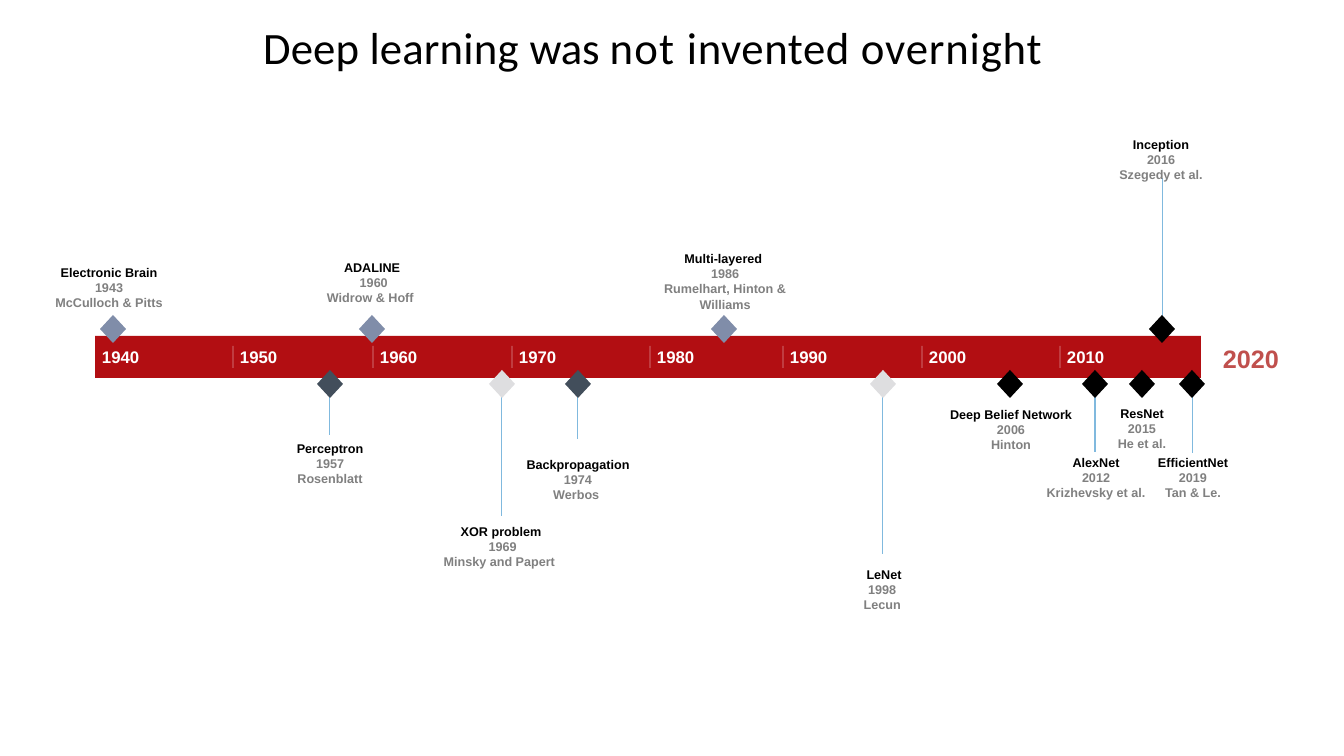
import pptx
import pptx.util
import pptx.dml.color
import pptx.enum.shapes
import pptx.enum.text
import pptx.oxml
import pptx.oxml.ns

# Content: words of the title with their letter spacing in 1/100 pt
TITLE = [("Deep learning ", 10), ("was ", -20), ("not ", 90),
         ("invented ", 40), ("overnight", 60)]

# Decade and left edge of its section on the bar
DECADES = [("1940", 95), ("1950", 233), ("1960", 373), ("1970", 512),
           ("1980", 650), ("1990", 783), ("2000", 922), ("2010", 1060)]
LAST = "2020"

BLUE, SLATE, PALE, BLACK = "808DA9", "424E5B", "DEDEE0", "000000"
GREY, WHITE, SKY = "808080", "FFFFFF", "80B9DE"
UP, DOWN = 329, 384  # middle of the markers above and below
THIN, FINE = 0.75, 0.25  # stem widths in points

# Name, year, authors, label centre and top, marker x, y, colour,
# end and width of the stem (None for no stem)
EVENTS = [
    ("Electronic Brain", "1943", "McCulloch & Pitts", 109, 265, 113, UP, BLUE, None, None),
    ("Perceptron", "1957", "Rosenblatt", 330, 441, 330, DOWN, SLATE, 435, THIN),
    ("ADALINE", " 1960", "Widrow & Hoff ", 372, 260, 372, UP, BLUE, None, None),
    ("XOR problem", " 1969", "Minsky and Papert ", 501, 524, 502, DOWN, PALE, 516, THIN),
    ("Backpropagation", " 1974 ", "Werbos ", 578, 457, 578, DOWN, SLATE, 439, THIN),
    ("Multi-layered ", "1986", "Rumelhart, Hinton & Williams",
     725, 251, 724, UP, BLUE, None, None),
    ("LeNet", "1998 ", "Lecun ", 884, 567, 883, DOWN, PALE, 554, THIN),
    ("Deep Belief Network", "2006", "Hinton", 1011, 407, 1010, DOWN, BLACK, None, None),
    ("AlexNet", "2012", "Krizhevsky et al.", 1096, 455, 1095, DOWN, BLACK, 452, 1),
    ("ResNet", "2015", "He et al.", 1142, 406, 1142, DOWN, BLACK, None, None),
    ("EfficientNet", "2019", "Tan & Le.", 1193, 455, 1192, DOWN, BLACK, 453, FINE),
    ("Inception", "2016", "Szegedy et al.", 1161, 137, 1162, UP, BLACK, 178, FINE),
]

SHAPE = pptx.enum.shapes.MSO_SHAPE
ALIGN = pptx.enum.text.PP_ALIGN
ANCHOR = pptx.enum.text.MSO_ANCHOR


def px(n):
    return pptx.util.Emu(round(n * 914400 / 100.8))


def rgb(code):
    return pptx.dml.color.RGBColor.from_string(code)


def write(lines, x, y, w, h, size=9, font="Arial", bold=True,
          align=ALIGN.CENTER, anchor=ANCHOR.TOP):
    """Each line is a list of (text, colour, letter spacing) runs."""
    frame = slide.shapes.add_textbox(px(x), px(y), px(w), px(h)).text_frame
    frame.margin_left = frame.margin_right = 0
    frame.margin_top = frame.margin_bottom = 0
    frame.word_wrap = True
    frame.vertical_anchor = anchor
    for i, line in enumerate(lines):
        para = frame.paragraphs[0] if i == 0 else frame.add_paragraph()
        para.alignment = align
        for text, color, space in line:
            run = para.add_run()
            run.text = text
            run.font.size = pptx.util.Pt(size)
            run.font.name = font
            run.font.bold = bold
            run.font.color.rgb = rgb(color)
            if space:
                run.font._element.set("spc", str(space))


def draw(kind, x, y, w, h, color):
    shape = slide.shapes.add_shape(kind, px(x), px(y), px(w), px(h))
    shape.shadow.inherit = False
    shape.fill.solid()
    shape.fill.fore_color.rgb = rgb(color)
    shape.line.fill.background()


def stem(x, top, end, color, width=1, alpha=None):
    line = slide.shapes.add_connector(
        pptx.enum.shapes.MSO_CONNECTOR.STRAIGHT, px(x), px(top), px(x), px(end))
    line.line.color.rgb = rgb(color)
    line.line.width = pptx.util.Pt(width)
    props = line._element.spPr
    space = pptx.oxml.ns.nsdecls("a")
    if alpha:
        tint = props.find(".//" + pptx.oxml.ns.qn("a:srgbClr"))
        tint.append(pptx.oxml.parse_xml(f'<a:alpha {space} val="{alpha * 1000}"/>'))
    props.append(pptx.oxml.parse_xml(f"<a:effectLst {space}/>"))


deck = pptx.Presentation()
deck.slide_width, deck.slide_height = px(1344), px(756)
slide = deck.slides.add_slide(deck.slide_layouts[6])

# Title
write([[(word, BLACK, space) for word, space in TITLE]], 174, 20, 957, 55,
      size=32, font="Calibri", bold=False)

# Bar with decades
draw(SHAPE.RECTANGLE, 95, 336, 1106, 42, "B20E12")
for i, (year, x) in enumerate(DECADES):
    if i:
        stem(x, 346, 368, WHITE, alpha=30)
    write([[(year, WHITE, 0)]], x + 7, 347, 42, 20, size=12,
          align=ALIGN.LEFT, anchor=ANCHOR.MIDDLE)
write([[(LAST, "C0504D", 0)]], 1220, 343, 62, 30, size=18, anchor=ANCHOR.MIDDLE)

# Events: stem, marker, label
for name, year, who, mid, top, x, y, color, end, width in EVENTS:
    if end:
        stem(x, y, end, SKY, width)
    draw(SHAPE.DIAMOND, x - 13, y - 14, 26, 28, color)
    write([[(name, BLACK, 0)], [(year, GREY, 0)], [(who, GREY, 0)]],
          mid - 87, top, 174, 46)

deck.save("out.pptx")
